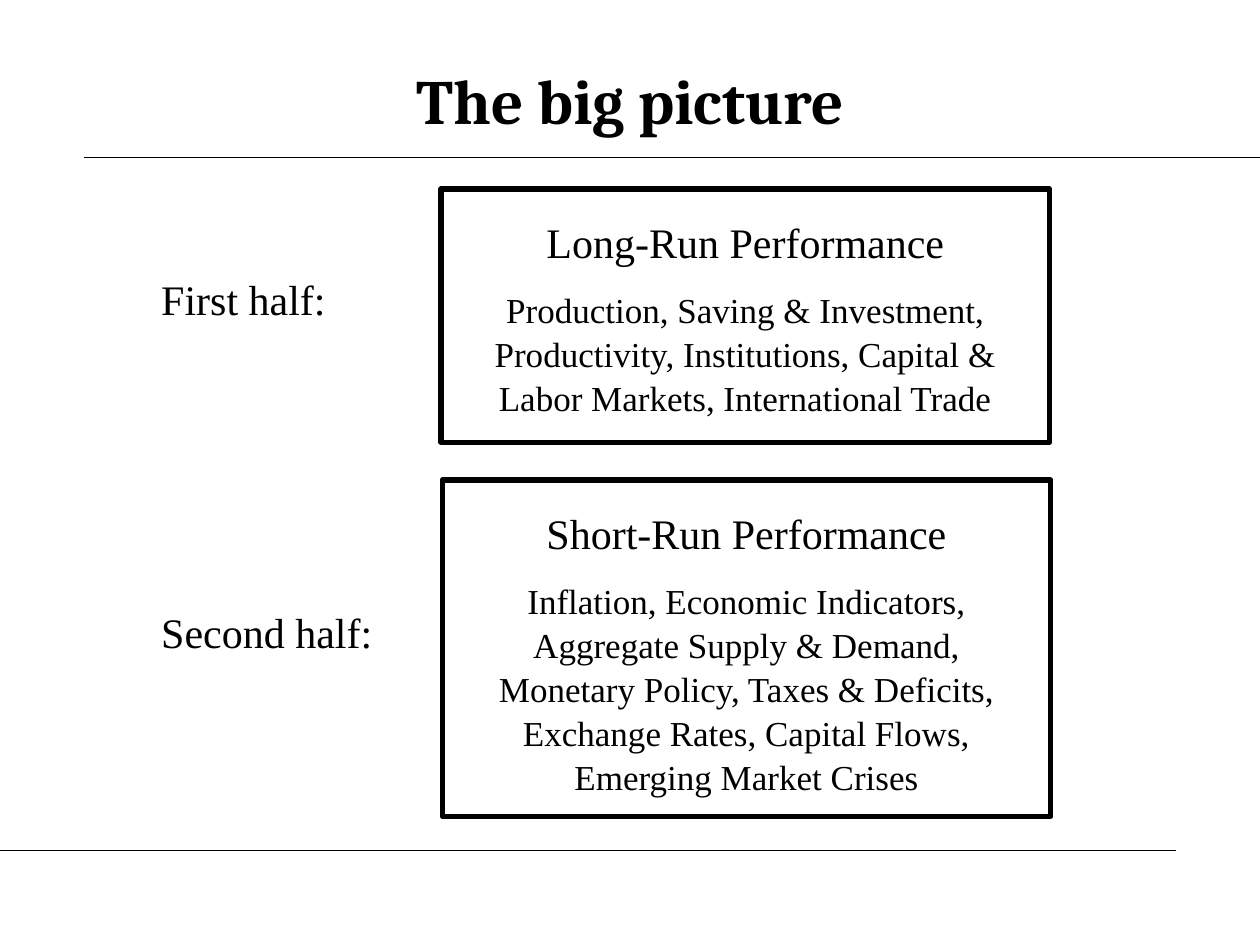
from pptx import Presentation
from pptx.dml.color import RGBColor
from pptx.enum.shapes import MSO_CONNECTOR, MSO_SHAPE
from pptx.enum.text import MSO_ANCHOR, PP_ALIGN
from pptx.oxml.ns import qn
from pptx.util import Inches, Pt
from lxml.etree import SubElement


class Theme:
    ink = RGBColor(0, 0, 0)
    title_font, body_font = "Cambria", "Times New Roman"
    title, heading, body = Pt(36), Pt(24), Pt(20)
    rule, border = Pt(0.75), Pt(3)


def add_run(p, text, size, font=Theme.body_font, bold=False):
    r = p.add_run()
    r.text = text
    r.font.name, r.font.size, r.font.bold = font, size, bold
    r.font.color.rgb = Theme.ink


def set_frame(tf):
    """Wrap the text and give the frame its wide margins."""
    tf.word_wrap = True
    tf.vertical_anchor = MSO_ANCHOR.TOP
    tf.margin_left = tf.margin_right = tf.margin_bottom = Inches(0.2)
    tf.margin_top = Inches(0.22)


prs = Presentation()
prs.slide_width, prs.slide_height = Inches(10), Inches(7.5)
s = prs.slides.add_slide(prs.slide_layouts[5])

# Rules above and below the content
for x1, x2, y in [(0.67, 10, 1.25), (0, 9.33, 6.75)]:
    rule = s.shapes.add_connector(
        MSO_CONNECTOR.STRAIGHT, Inches(x1), Inches(y), Inches(x2), Inches(y))
    rule.line.color.rgb = Theme.ink
    rule.line.width = Theme.rule
    SubElement(rule._element.spPr, qn("a:effectLst"))

# Title
title = s.shapes.title
title.left, title.top = Inches(0.5), Inches(0.33)
title.width, title.height = Inches(9), Inches(0.92)
title.text_frame.vertical_anchor = MSO_ANCHOR.MIDDLE
p = title.text_frame.paragraphs[0]
p.alignment = PP_ALIGN.CENTER
add_run(p, "The big picture", Theme.title, Theme.title_font, bold=True)

# Topic boxes: left, top, height, heading, topics
topics = [
    (3.5, 1.5, 2.01, "Long-Run Performance",
     "Production, Saving & Investment, Productivity, Institutions, "
     "Capital & Labor Markets, International Trade"),
    (3.51, 3.81, 2.67, "Short-Run Performance",
     "Inflation, Economic Indicators, Aggregate Supply & Demand, "
     "Monetary Policy, Taxes & Deficits, Exchange Rates, Capital Flows, "
     "Emerging Market Crises"),
]
for left, top, height, heading, body in topics:
    box = s.shapes.add_shape(
        MSO_SHAPE.RECTANGLE, Inches(left), Inches(top), Inches(4.83), Inches(height))
    box.shadow.inherit = False
    box.fill.background()
    box.line.color.rgb = Theme.ink
    box.line.width = Theme.border
    tf = box.text_frame
    set_frame(tf)
    p = tf.paragraphs[0]
    p.alignment = PP_ALIGN.CENTER
    add_run(p, heading, Theme.heading)
    p = tf.add_paragraph()
    p.alignment = PP_ALIGN.CENTER
    p.space_before = Pt(11)
    p.line_spacing = 1.05
    add_run(p, body, Theme.body)

# Labels beside the boxes
for top, height, spacing, label in [
        (2.23, 0.6, 0.5, "First half:"), (4.6, 0.8, 1.0, "Second half:")]:
    tb = s.shapes.add_textbox(Inches(1.08), Inches(top), Inches(2.33), Inches(height))
    set_frame(tb.text_frame)
    p = tb.text_frame.paragraphs[0]
    p.line_spacing = spacing
    add_run(p, label, Theme.heading)

prs.save("out.pptx")
